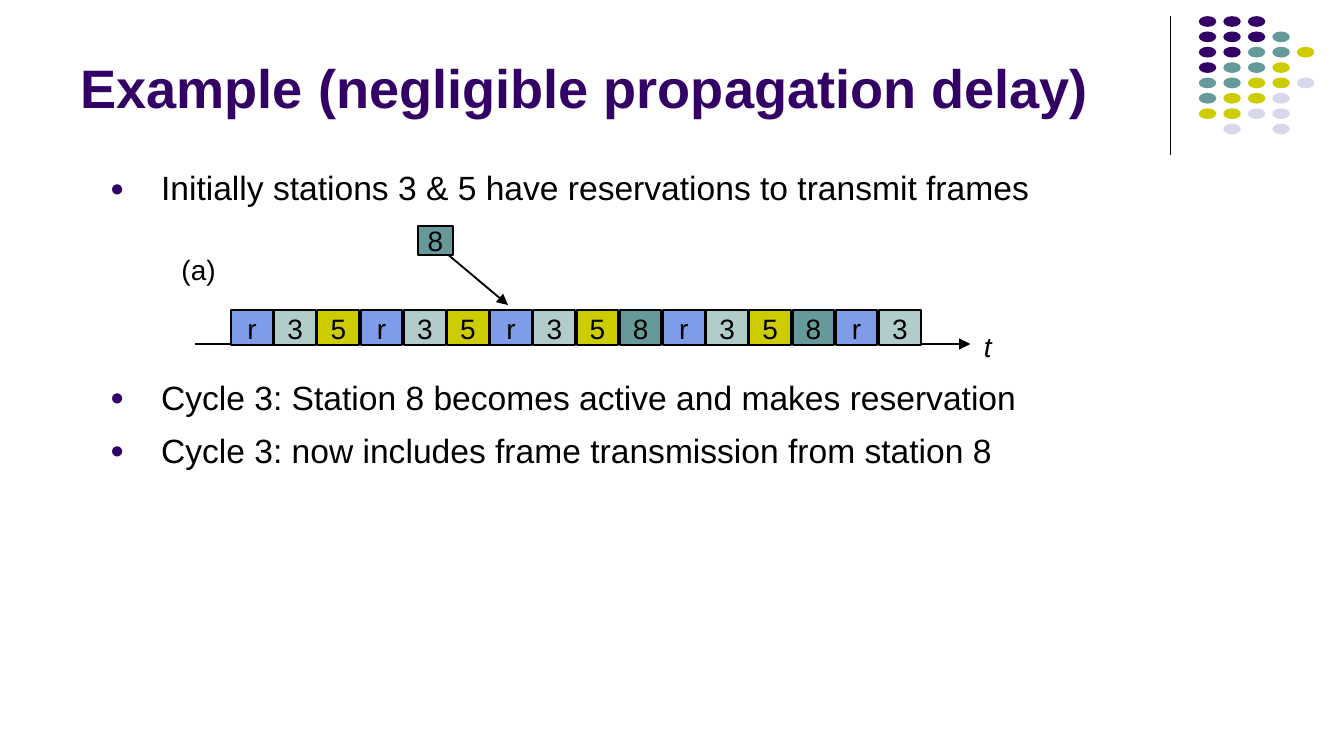
from lxml import etree
from pptx import Presentation
from pptx.dml.color import RGBColor
from pptx.enum import shapes, text
from pptx.oxml import ns
from pptx.util import Inches, Pt

# Content
TITLE = "Example (negligible propagation delay)"
INTRO = ["Initially stations 3 & 5 have reservations to transmit frames"]
CYCLES = ["Cycle 3: Station 8 becomes active and makes reservation",
          "Cycle 3: now includes frame transmission from station 8"]
SLOTS = "r35r35r358r358r3"
DOT_ROWS = ["ppp", "pppt", "pptty", "ptty", "ttyyl", "tyyl", "yyll", " l l"]

THEME = {
    "font": "Arial", "title": 29, "body": 18, "label": 15,
    "ink": "000000", "accent": "330066",
    "slots": {"r": "7E9CE8", "3": "B1CCCB", "5": "CCCC00", "8": "669999"},
    "dots": {"p": "330066", "t": "669999", "y": "CCCC00", "l": "D8D8EC"},
}

prs = Presentation()
prs.slide_width = Inches(10)
prs.slide_height = Inches(10 * 9 / 16)
slide = prs.slides.add_slide(prs.slide_layouts[6])


def rgb(value):
    return RGBColor.from_string(value)


def style(paragraph, size, color="ink", bold=False, italic=False):
    for run in paragraph.runs:
        font = run.font
        font.name, font.size = THEME["font"], Pt(size)
        font.bold, font.italic = bold, italic
        font.color.rgb = rgb(THEME[color])


def add_shape(kind, x, y, w, h, fill):
    shape = slide.shapes.add_shape(kind, Inches(x), Inches(y), Inches(w), Inches(h))
    shape.shadow.inherit = False
    shape.fill.solid()
    shape.fill.fore_color.rgb = rgb(fill)
    return shape


def add_slot(station, x, y, w, h):
    slot = add_shape(shapes.MSO_SHAPE.RECTANGLE, x, y, w, h, THEME["slots"][station])
    slot.line.color.rgb = rgb(THEME["ink"])
    slot.line.width = Pt(1)
    frame = slot.text_frame
    frame.margin_left = frame.margin_right = frame.margin_top = frame.margin_bottom = 0
    frame.vertical_anchor = text.MSO_ANCHOR.MIDDLE
    frame.text = station
    frame.paragraphs[0].alignment = text.PP_ALIGN.CENTER
    style(frame.paragraphs[0], THEME["label"])


def add_line(x1, y1, x2, y2, width, arrow=False):
    line = slide.shapes.add_connector(shapes.MSO_CONNECTOR.STRAIGHT,
                                      Inches(x1), Inches(y1), Inches(x2), Inches(y2))
    line.line.color.rgb = rgb(THEME["ink"])
    line.line.width = Pt(width)
    if arrow:
        etree.SubElement(line.line._get_or_add_ln(), ns.qn("a:tailEnd"), type="triangle")
    etree.SubElement(line._element.spPr, ns.qn("a:effectLst"))


def add_text(lines, x, y, w, h):
    frame = slide.shapes.add_textbox(Inches(x), Inches(y), Inches(w), Inches(h)).text_frame
    frame.word_wrap = True
    frame.text = "\n".join(lines)
    return frame


def add_label(label, x, y, w, h, italic=False):
    frame = add_text([label], x, y, w, h)
    frame.margin_left = frame.margin_right = Inches(0.07)
    frame.margin_top = frame.margin_bottom = Inches(0.04)
    frame.word_wrap = False
    style(frame.paragraphs[0], THEME["label"], italic=italic)


def add_bullets(lines, x, y, w, h):
    for i, paragraph in enumerate(add_text(lines, x, y, w, h).paragraphs):
        paragraph.line_spacing = 0.9
        paragraph.space_before = Pt(9 if i else 0)
        props = paragraph._p.get_or_add_pPr()
        props.set("marL", str(Inches(0.38)))
        props.set("indent", str(-Inches(0.38)))
        color = etree.SubElement(props, ns.qn("a:buClr"))
        etree.SubElement(color, ns.qn("a:srgbClr"), val=THEME["accent"])
        etree.SubElement(props, ns.qn("a:buSzPct"), val="70000")
        etree.SubElement(props, ns.qn("a:buFont"), typeface=THEME["font"])
        etree.SubElement(props, ns.qn("a:buChar"), char="●")
        style(paragraph, THEME["body"])


# Corner decoration: rule and dot grid
add_line(8.71, 0.12, 8.71, 1.15, 0.75)
for row, dots in enumerate(DOT_ROWS):
    for col, dot in enumerate(dots):
        if dot in THEME["dots"]:
            oval = add_shape(shapes.MSO_SHAPE.OVAL, 8.92 + col * 0.73 / 4,
                             0.12 + row * 0.8 / 7, 0.13, 0.08, THEME["dots"][dot])
            oval.line.fill.background()

# Time axis with its row of slots
add_line(1.45, 2.56, 7.22, 2.56, 1, arrow=True)
add_label("t", 7.25, 2.41, 0.27, 0.32, italic=True)
first_slot, last_slot = 1.72, 6.54
slot_pitch = (last_slot - first_slot) / (len(SLOTS) - 1)
for i, station in enumerate(SLOTS):
    add_slot(station, first_slot + i * slot_pitch, 2.31, 0.31, 0.26)
add_label("(a)", 1.28, 1.84, 0.41, 0.32)

# Station 8 asking for a reservation
add_slot("8", 3.11, 1.68, 0.26, 0.22)
add_line(3.34, 1.9, 3.78, 2.27, 1, arrow=True)

# Title and bullets
title = add_text([TITLE], 0.5, 0.1, 8.25, 0.84)
title.vertical_anchor = text.MSO_ANCHOR.BOTTOM
style(title.paragraphs[0], THEME["title"], "accent", bold=True)
add_bullets(INTRO, 0.72, 1.23, 7.72, 0.48)
add_bullets(CYCLES, 0.72, 2.79, 7.61, 0.82)

prs.save("out.pptx")
